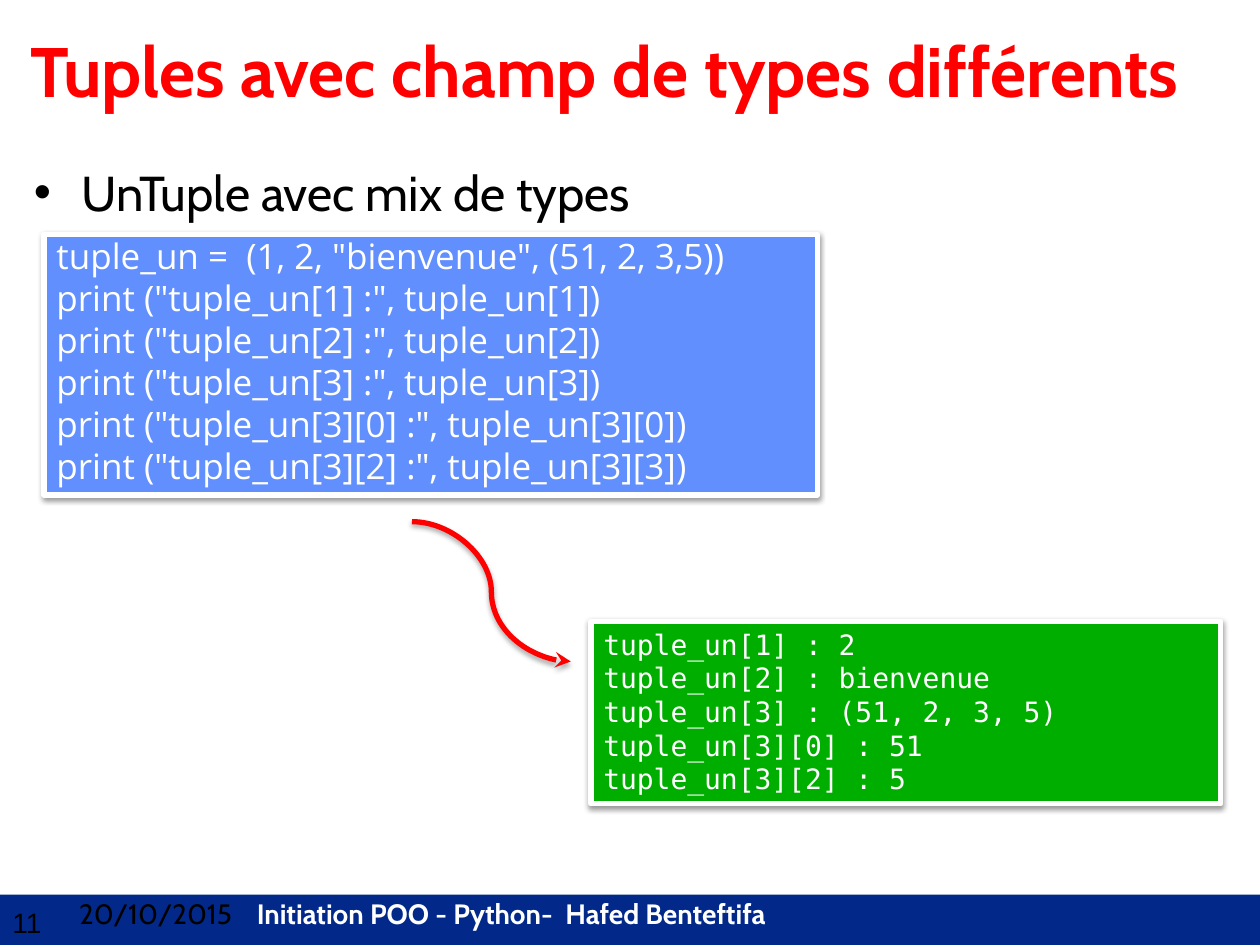
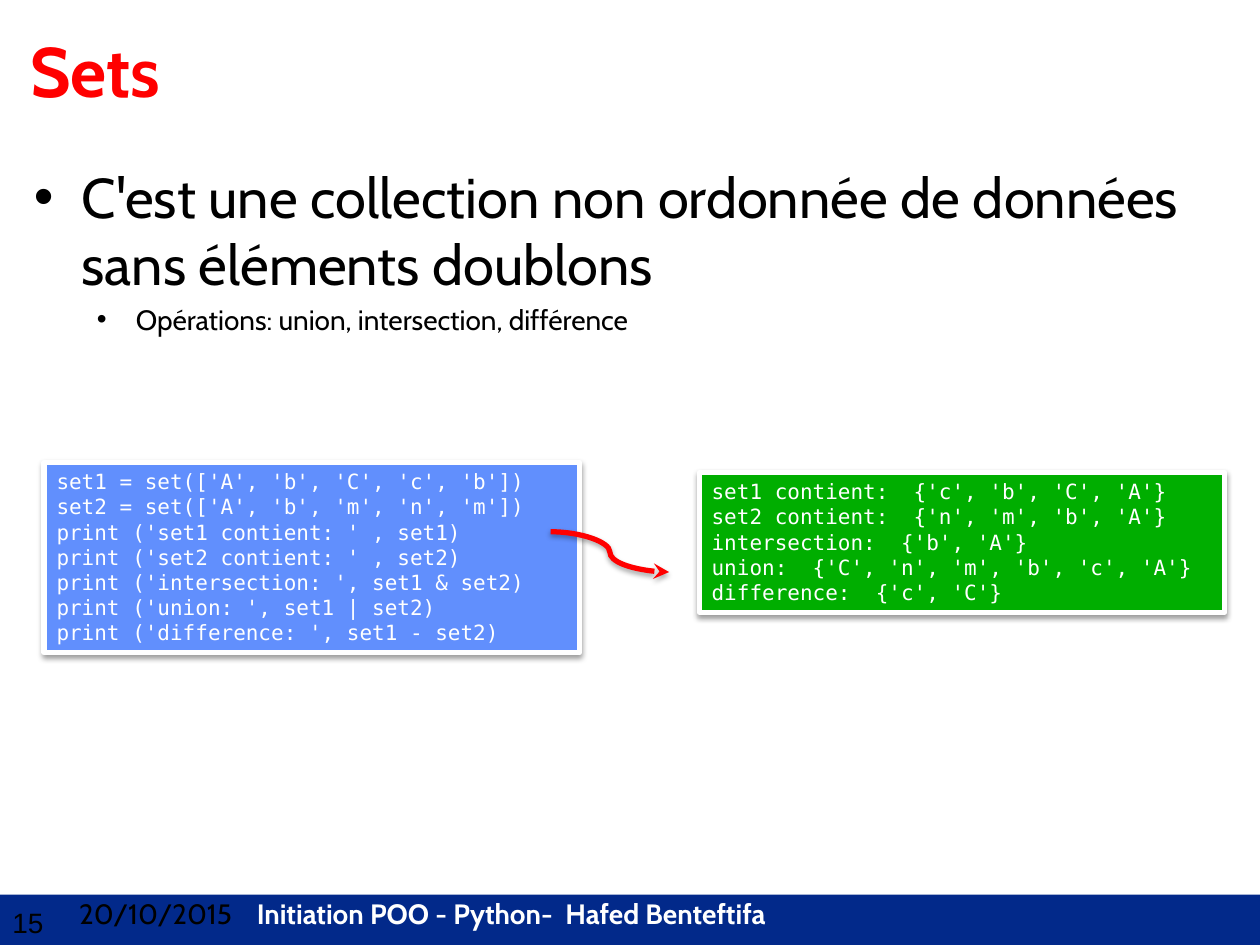
import lxml.etree
import pptx
import pptx.dml.color
import pptx.enum.shapes
import pptx.enum.text
import pptx.oxml.ns
import pptx.util

Inches = pptx.util.Inches
Pt = pptx.util.Pt
RGB = pptx.dml.color.RGBColor
qn = pptx.oxml.ns.qn

NAVY = RGB(0x02, 0x29, 0x8A)
RED = RGB(0xFF, 0x00, 0x00)
BLUE = RGB(0x61, 0x8F, 0xFD)
GREEN = RGB(0x00, 0xAE, 0x00)
BLACK = RGB(0x00, 0x00, 0x00)
WHITE = RGB(0xFF, 0xFF, 0xFF)
MONO = "DejaVu Sans Mono"


def add(parent, tag, **attrs):
    node = lxml.etree.SubElement(parent, qn(tag))
    for key, value in attrs.items():
        node.set(key, str(value))
    return node


class Deck:
    """Holds the shared style and the current slide."""

    font = "Cabin"

    def __init__(self):
        self.file = pptx.Presentation()
        self.file.slide_width = Inches(10)
        self.file.slide_height = Inches(7.5)
        self.slide = None

    def page(self, number, title):
        self.slide = self.file.slides.add_slide(self.file.slide_layouts[6])
        self.rect(0, 7.1, 10, 0.4, NAVY)
        frame = self.text(0, 7.14, 0.58, 0.63)
        self.run(frame.paragraphs[0], number, 16, font="Arial")
        para = self.text(0.53, 7.07, 9.47, 0.64).paragraphs[0]
        self.tabs(para, 1.41, 3.86)
        self.run(para, "20/10/2015\t", 16)
        self.run(para, "Initiation POO - Python-\tHafed Benteftifa", 16, WHITE, True)
        frame = self.text(0.14, 0.17, 9.86, 0.93)
        self.run(frame.paragraphs[0], title, 40, RED, True)

    def text(self, left, top, width, height):
        box = self.slide.shapes.add_textbox(
            Inches(left), Inches(top), Inches(width), Inches(height))
        box.text_frame.word_wrap = True
        return box.text_frame

    def run(self, para, words, size, color=BLACK, bold=False, font=None):
        run = para.add_run()
        run.text = words
        run.font.name = font or self.font
        run.font.size = Pt(size)
        run.font.bold = bold
        run.font.color.rgb = color

    def tabs(self, para, *stops):
        group = add(para._p.get_or_add_pPr(), "a:tabLst")
        for stop in stops:
            add(group, "a:tab", pos=Inches(stop), algn="l")

    def bullets(self, height, *items):
        frame = self.text(0.17, 1.24, 9.67, height)
        for i, (words, size, left, hang) in enumerate(items):
            para = frame.add_paragraph() if i else frame.paragraphs[0]
            props = para._p.get_or_add_pPr()
            props.set("marL", str(Inches(left)))
            props.set("indent", str(-Inches(hang)))
            add(props, "a:buFont", typeface="Arial")
            add(props, "a:buChar", char="•")
            if i:
                para.space_before = Pt(3.2)
            self.run(para, words, size)

    def rect(self, left, top, width, height, fill):
        shape = self.slide.shapes.add_shape(
            pptx.enum.shapes.MSO_SHAPE.RECTANGLE,
            Inches(left), Inches(top), Inches(width), Inches(height))
        shape.shadow.inherit = False
        shape.fill.solid()
        shape.fill.fore_color.rgb = fill
        shape.line.fill.background()
        return shape

    def shade(self, effects, far, alpha):
        shadow = add(effects, "a:outerShdw", blurRad=Pt(3.1), dist=Pt(far),
                     dir=90 * 60000, rotWithShape=0)
        color = add(shadow, "a:srgbClr", val=BLACK)
        add(color, "a:alpha", val=alpha * 1000)

    def code(self, left, top, width, height, fill, lines, size, font=MONO, inset=0.05):
        shape = self.rect(left, top, width, height, fill)
        shape.line.color.rgb = WHITE
        shape.line.width = Pt(3)
        self.shade(shape._element.spPr.find(qn("a:effectLst")), 1.6, 38)
        frame = shape.text_frame
        frame.word_wrap = True
        frame.margin_top = Inches(inset)
        frame.vertical_anchor = pptx.enum.text.MSO_ANCHOR.TOP
        for i, line in enumerate(lines.strip().splitlines()):
            para = frame.add_paragraph() if i else frame.paragraphs[0]
            para.alignment = pptx.enum.text.PP_ALIGN.LEFT
            self.run(para, line, size, WHITE, font=font)

    def arrow(self, left, top, right, bottom):
        line = self.slide.shapes.add_connector(
            pptx.enum.shapes.MSO_CONNECTOR.CURVE,
            Inches(left), Inches(top), Inches(right), Inches(bottom))
        line.line.color.rgb = RED
        line.line.width = Pt(3)
        props = line._element.spPr
        add(props.find(qn("a:ln")), "a:tailEnd", type="stealth")
        self.shade(add(props, "a:effectLst"), 1.8, 35)


TUPLE_CODE = """
tuple_un =  (1, 2, "bienvenue", (51, 2, 3,5))
print ("tuple_un[1] :", tuple_un[1])
print ("tuple_un[2] :", tuple_un[2])
print ("tuple_un[3] :", tuple_un[3])
print ("tuple_un[3][0] :", tuple_un[3][0])
print ("tuple_un[3][2] :", tuple_un[3][3])
"""
TUPLE_OUT = """
tuple_un[1] : 2
tuple_un[2] : bienvenue
tuple_un[3] : (51, 2, 3, 5)
tuple_un[3][0] : 51
tuple_un[3][2] : 5
"""
SET_CODE = """
set1 = set(['A', 'b', 'C', 'c', 'b'])
set2 = set(['A', 'b', 'm', 'n', 'm'])
print ('set1 contient: ' , set1)
print ('set2 contient: ' , set2)
print ('intersection: ', set1 & set2)
print ('union: ', set1 | set2)
print ('difference: ', set1 - set2)
"""
SET_OUT = """
set1 contient:  {'c', 'b', 'C', 'A'}
set2 contient:  {'n', 'm', 'b', 'A'}
intersection:  {'b', 'A'}
union:  {'C', 'n', 'm', 'b', 'c', 'A'}
difference:  {'c', 'C'}
"""


def main():
    deck = Deck()

    deck.page("11", "Tuples avec champ de types différents")
    deck.bullets(1.49, ("UnTuple avec mix de types", 28, 0.38, 0.38))
    deck.code(0.35, 1.86, 6.14, 2.07, BLUE, TUPLE_CODE, 20, "Open Sans", 0)
    deck.code(4.69, 4.93, 5, 1.45, GREEN, TUPLE_OUT, 16)
    deck.arrow(3.27, 4.14, 4.53, 5.25)

    deck.page("15", "Sets")
    deck.bullets(
        5.46,
        ("C'est une collection non ordonnée de données sans éléments doublons",
         32, 0.38, 0.38),
        ("Opérations: union, intersection, différence", 16, 0.81, 0.31))
    deck.code(5.55, 3.75, 4.17, 1.11, GREEN, SET_OUT, 12)
    deck.code(0.35, 3.67, 4.25, 1.51, BLUE, SET_CODE, 12)
    deck.arrow(4.37, 4.22, 5.31, 4.54)

    deck.file.save("out.pptx")


if __name__ == "__main__":
    main()
